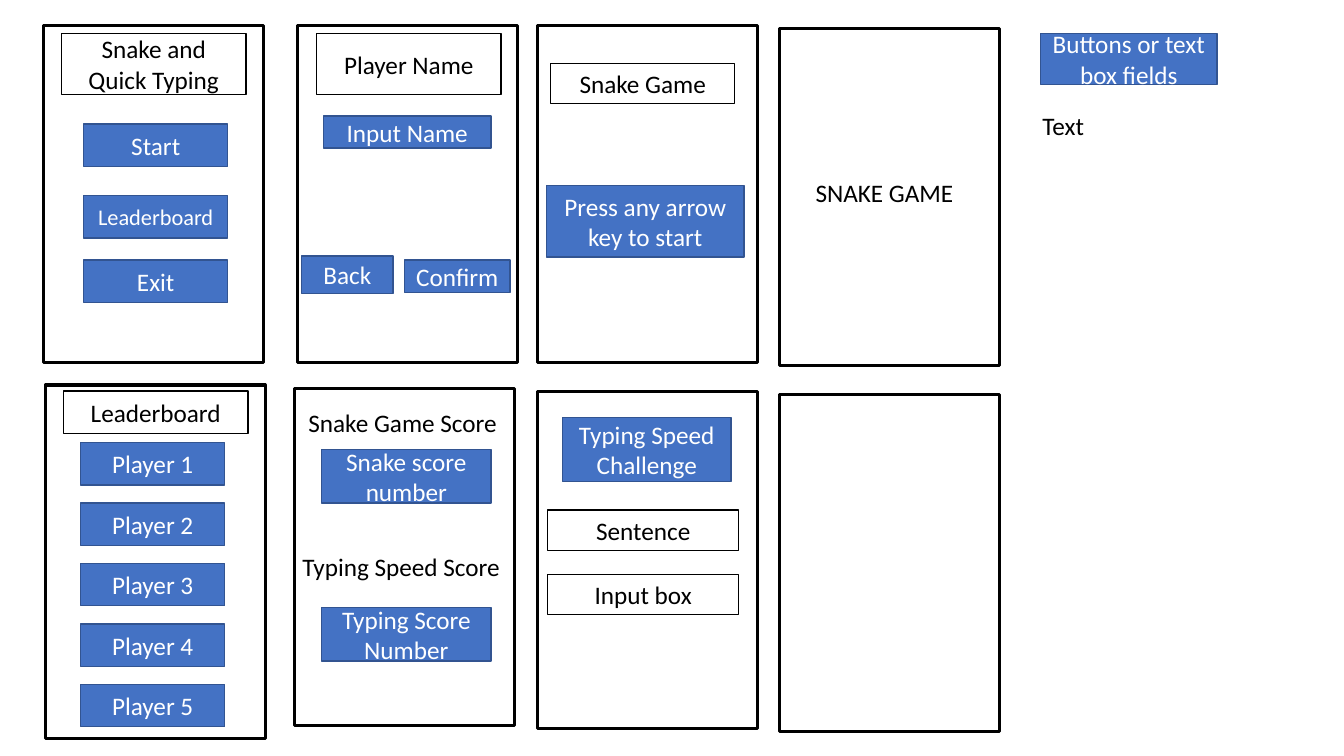
from pptx import Presentation
from pptx.dml.color import RGBColor
from pptx.enum.shapes import MSO_SHAPE
from pptx.enum.text import MSO_ANCHOR, PP_ALIGN
from pptx.util import Inches, Pt

RECTANGLE = MSO_SHAPE.RECTANGLE
MIDDLE = MSO_ANCHOR.MIDDLE
CENTER = PP_ALIGN.CENTER
LEFT = PP_ALIGN.LEFT
BLACK = RGBColor(0x00, 0x00, 0x00)
WHITE = RGBColor(0xFF, 0xFF, 0xFF)
BLUE = RGBColor(0x44, 0x72, 0xC4)
DARK_BLUE = RGBColor(0x32, 0x54, 0x91)

prs = Presentation()
prs.slide_width = Inches(13.33)
prs.slide_height = Inches(7.5)
slide = prs.slides.add_slide(prs.slide_layouts[6])


def write(s, text, color, align, size=18):
    tf = s.text_frame
    tf.word_wrap = True
    tf.vertical_anchor = MIDDLE
    tf.text = text
    p = tf.paragraphs[0]
    p.alignment = align
    font = p.runs[0].font
    font.name = "Calibri"
    font.size = Pt(size)
    font.color.rgb = color


def add_box(x, y, w, h, line, weight, fill=None):
    s = slide.shapes.add_shape(RECTANGLE, Inches(x), Inches(y), Inches(w), Inches(h))
    s.shadow.inherit = False
    if fill is None:
        s.fill.background()
    else:
        s.fill.solid()
        s.fill.fore_color.rgb = fill
    s.line.color.rgb = line
    s.line.width = Pt(weight)
    return s


screens = [
    (0.43, 0.25, 3.35), (2.95, 0.25, 3.35), (5.33, 0.25, 3.35), (7.73, 0.28, 3.35),
    (0.45, 3.82, 3.51), (2.92, 3.85, 3.35), (5.33, 3.88, 3.35), (7.73, 3.91, 3.35),
]
for x, y, h in screens:
    add_box(x, y, 2.18, h, BLACK, 2.25)

headings = [
    ("Snake and Quick Typing", 0.61, 0.33, 1.83, 0.61, 1),
    ("Player Name", 3.14, 0.33, 1.83, 0.61, 1),
    ("Snake Game", 5.46, 0.63, 1.83, 0.4, 0.75),
    ("Leaderboard", 0.63, 3.88, 1.83, 0.42, 1),
    ("Sentence", 5.43, 5.06, 1.9, 0.4, 0.75),
    ("Input box", 5.43, 5.7, 1.9, 0.4, 0.75),
]
for text, x, y, w, h, weight in headings:
    write(add_box(x, y, w, h, BLACK, weight), text, BLACK, CENTER)

buttons = [
    ("Start", 0.83, 1.23, 1.43, 0.42, 18),
    ("Leaderboard", 0.83, 1.94, 1.43, 0.42, 16),
    ("Exit", 0.83, 2.58, 1.43, 0.42, 18),
    ("Input Name", 3.21, 1.15, 1.66, 0.32, 18),
    ("Back", 2.99, 2.54, 0.91, 0.37, 18),
    ("Confirm", 4.01, 2.58, 1.05, 0.32, 18),
    ("Press any arrow key to start", 5.42, 1.84, 1.96, 0.71, 18),
    ("Snake score number", 3.19, 4.46, 1.68, 0.53, 18),
    ("Typing Score Number", 3.19, 6.03, 1.68, 0.53, 18),
    ("Typing Speed Challenge", 5.58, 4.14, 1.67, 0.64, 18),
    ("Buttons or text box fields", 10.32, 0.33, 1.75, 0.51, 18),
]
for i in range(5):
    buttons.append((f"Player {i + 1}", 0.8, 4.39 + 0.6 * i, 1.43, 0.42, 18))
for text, x, y, w, h, size in buttons:
    write(add_box(x, y, w, h, DARK_BLUE, 1, BLUE), text, WHITE, CENTER, size)

labels = [
    ("SNAKE GAME", 7.99, 1.71, 2.15),
    ("Snake Game Score", 2.96, 3.99, 2.21),
    ("Typing Speed Score", 2.9, 5.42, 2.21),
    ("Text", 10.24, 1.04, 1.83),
]
for text, x, y, w in labels:
    s = slide.shapes.add_textbox(Inches(x), Inches(y), Inches(w), Inches(0.4))
    write(s, text, BLACK, LEFT)

prs.save("out.pptx")
